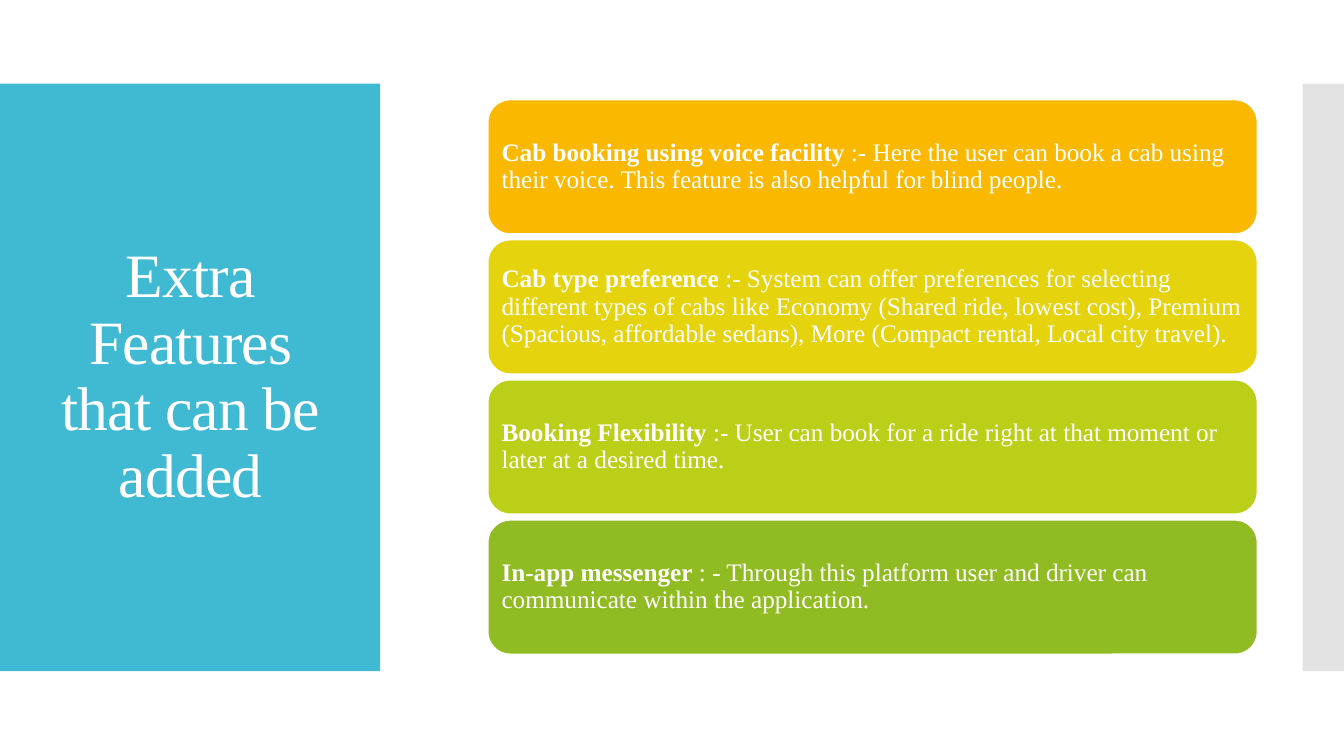
from lxml import etree
from pptx import Presentation
from pptx import util as u
from pptx.dml.color import RGBColor
from pptx.enum import shapes, text
from pptx.oxml import ns

WHITE = RGBColor(0xFF, 0xFF, 0xFF)
TEAL = RGBColor(0x40, 0xBA, 0xD2)
GREY = RGBColor(0xC8, 0xC8, 0xC8)
AMBER = RGBColor(0xFA, 0xB9, 0x00)
YELLOW = RGBColor(0xE4, 0xD3, 0x0D)
LIME = RGBColor(0xBC, 0xCF, 0x18)
GREEN = RGBColor(0x90, 0xBB, 0x23)

FEATURES = [
    (AMBER, "Cab booking using voice facility",
     " :- Here the user can book a cab using their voice. "
     "This feature is also helpful for blind people."),
    (YELLOW, "Cab type preference",
     " :- System can offer preferences for selecting different types of cabs "
     "like Economy (Shared ride, lowest cost), Premium (Spacious, affordable "
     "sedans), More (Compact rental, Local city travel)."),
    (LIME, "Booking Flexibility",
     " :- User can book for a ride right at that moment or later "
     "at a desired time."),
    (GREEN, "In-app messenger",
     " : - Through this platform user and driver can communicate "
     "within the application."),
]
CARD_TOP, CARD_HEIGHT, CARD_STEP = 99, 133, 139


def px(count):
    """100 px to the inch."""
    return u.Emu(count * 9144)


class SlideStyle:
    font = "Times New Roman"

    def __init__(self, page):
        self.page = page

    def shape(self, kind, left, top, width, height, color):
        box = self.page.shapes.add_shape(kind, *map(px, (left, top, width, height)))
        box.shadow.inherit = False
        box.fill.solid()
        box.fill.fore_color.rgb = color
        return box

    def panel(self, left, top, width, height, color, opacity=100):
        box = self.shape(shapes.MSO_SHAPE.RECTANGLE, left, top, width, height, color)
        box.line.fill.background()
        if opacity < 100:
            tint = box._element.spPr.find(".//" + ns.qn("a:srgbClr"))
            etree.SubElement(tint, ns.qn("a:alpha"), val=str(opacity * 1000))
        # Panels lie behind the title placeholder
        self.page.shapes._spTree.insert(2, box._element)

    def format(self, para, size, align):
        para.alignment = align
        para.line_spacing = 0.9
        para.font.name = self.font
        para.font.size = u.Pt(size)
        para.font.color.rgb = WHITE

    def frame(self, box, margin):
        frame = box.text_frame
        frame.word_wrap = True
        frame.auto_size = text.MSO_AUTO_SIZE.NONE
        frame.vertical_anchor = text.MSO_ANCHOR.MIDDLE
        frame.margin_left = frame.margin_right = px(margin)
        frame.margin_top = frame.margin_bottom = px(margin)
        return frame

    def title(self, left, top, width, height, words):
        box = self.page.shapes.title
        box.left, box.top, box.width, box.height = map(px, (left, top, width, height))
        para = self.frame(box, 10).paragraphs[0]
        span = para.add_run()
        span.text = words
        span._r.get_or_add_rPr().set("spc", "-60")
        self.format(para, 44, text.PP_ALIGN.CENTER)

    def card(self, left, top, width, height, color, name, detail):
        box = self.shape(shapes.MSO_SHAPE.ROUNDED_RECTANGLE,
                         left, top, width, height, color)
        box.line.color.rgb = WHITE
        box.line.width = u.Pt(0.85)
        para = self.frame(box, 7).paragraphs[0]
        for words, bold in ((name, True), (detail, False)):
            span = para.add_run()
            span.text = words
            span.font.bold = bold
        self.format(para, 18, text.PP_ALIGN.LEFT)


def main():
    deck = Presentation()
    deck.slide_width, deck.slide_height = px(1333), px(750)
    style = SlideStyle(deck.slides.add_slide(deck.slide_layouts[5]))

    # Side panels and title
    style.panel(0, 83, 377, 583, TEAL)
    style.panel(1292, 83, 41, 583, GREY, opacity=50)
    style.title(28, 123, 322, 503, "Extra Features that can be added")

    # Feature cards
    for row, feature in enumerate(FEATURES):
        style.card(484, CARD_TOP + row * CARD_STEP, 763, CARD_HEIGHT, *feature)

    deck.save("out.pptx")


if __name__ == "__main__":
    main()
